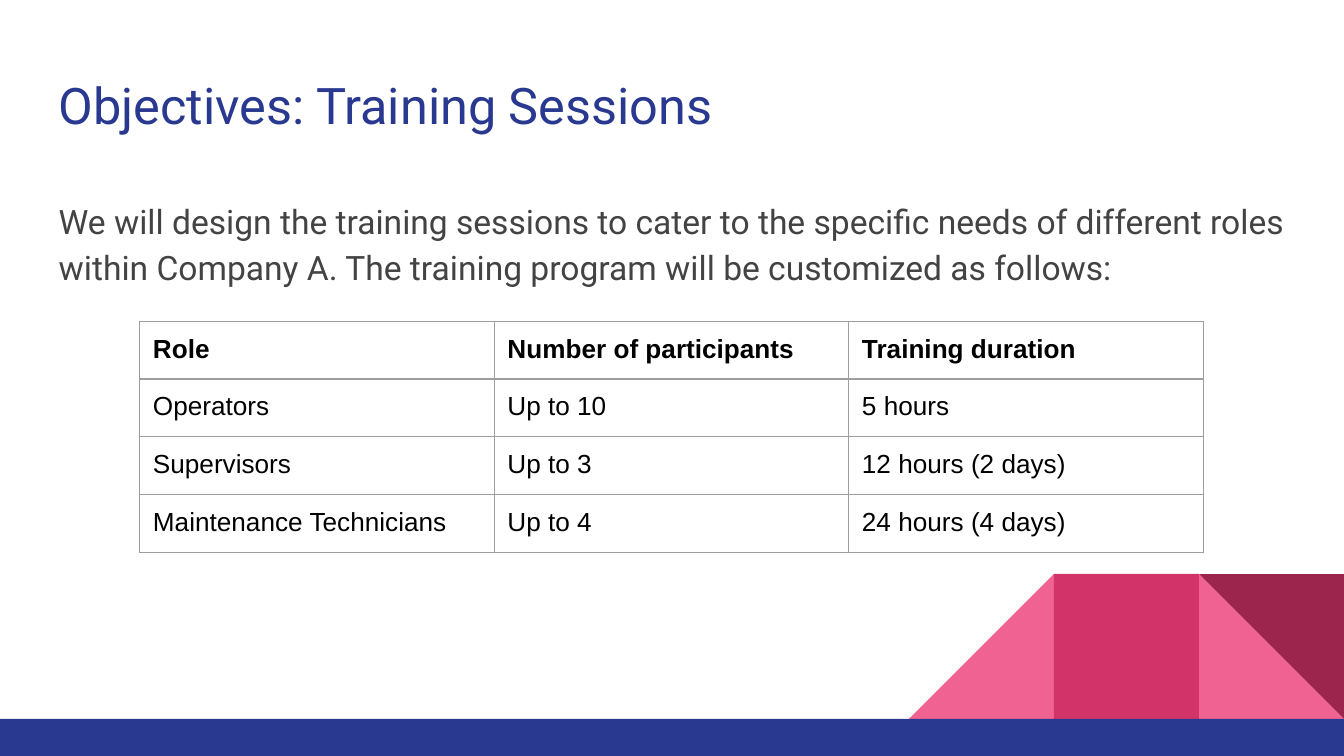
from lxml.etree import SubElement
from pptx import Presentation
from pptx.dml.color import RGBColor
from pptx.enum.shapes import MSO_SHAPE as Shape
from pptx.enum.text import MSO_ANCHOR as Anchor, PP_ALIGN as Align
from pptx.oxml.ns import qn
from pptx.util import Cm, Pt

BLUE = RGBColor(0x2A, 0x39, 0x90)
PINK = RGBColor(0xF0, 0x62, 0x92)
ROSE = RGBColor(0xD2, 0x33, 0x69)
WINE = RGBColor(0x9C, 0x25, 0x4D)
GRAY = RGBColor(0x43, 0x43, 0x43)
BORDER = RGBColor(0x9E, 0x9E, 0x9E)
BLACK = RGBColor(0, 0, 0)
WHITE = RGBColor(0xFF, 0xFF, 0xFF)

WIDTH, HEIGHT = 25.4, 14.29
BAR_HEIGHT = 0.7
TILE = 2.74
MARGIN = 0.86

ROWS = [
    ["Role", "Number of participants", "Training duration"],
    ["Operators", "Up to 10", "5 hours"],
    ["Supervisors", "Up to 3", "12 hours (2 days)"],
    ["Maintenance Technicians", "Up to 4", "24 hours (4 days)"],
]


class SlideBuilder:
    heading_font = "Roboto"
    table_font = "Arial"
    inset = Cm(0.25)

    def __init__(self, slide):
        self.slide = slide

    def format_text(self, frame, font_name, size, color, bold=False):
        for paragraph in frame.paragraphs:
            paragraph.alignment = Align.LEFT
            for run in paragraph.runs:
                font = run.font
                font.name, font.size, font.bold = font_name, Pt(size), bold
                font.color.rgb = color

    def fill_frame(self, frame, text, size, color, anchor):
        frame.text = text
        frame.word_wrap = True
        frame.vertical_anchor = anchor
        frame.margin_left = frame.margin_right = self.inset
        frame.margin_top = frame.margin_bottom = self.inset
        self.format_text(frame, self.heading_font, size, color)

    def title(self, text, left, top, width, height):
        title = self.slide.shapes.title
        title.left, title.top = Cm(left), Cm(top)
        title.width, title.height = Cm(width), Cm(height)
        self.fill_frame(title.text_frame, text, 27, BLUE, Anchor.MIDDLE)

    def body(self, text, left, top, width, height):
        box = self.slide.shapes.add_textbox(Cm(left), Cm(top), Cm(width), Cm(height))
        self.fill_frame(box.text_frame, text, 18, GRAY, Anchor.TOP)
        paragraph = box.text_frame.paragraphs[0]
        paragraph.line_spacing = 1.15
        paragraph.space_after = Pt(12)

    def block(self, kind, left, top, width, height, color, rotation=0):
        shape = self.slide.shapes.add_shape(kind, Cm(left), Cm(top), Cm(width), Cm(height))
        shape.shadow.inherit = False
        shape.fill.solid()
        shape.fill.fore_color.rgb = color
        shape.line.fill.background()
        shape.rotation = rotation

    def cell_borders(self, cell):
        properties = cell._tc.get_or_add_tcPr()
        for side in ("a:lnL", "a:lnR", "a:lnT", "a:lnB"):
            line = SubElement(properties, qn(side), w=str(Pt(0.75)))
            fill = SubElement(line, qn("a:solidFill"))
            SubElement(fill, qn("a:srgbClr"), val=str(BORDER))

    def table(self, rows, left, top, column_width, row_height):
        columns = len(rows[0])
        table = self.slide.shapes.add_table(
            len(rows), columns, Cm(left), Cm(top),
            Cm(column_width * columns), Cm(row_height * len(rows))).table
        table.horz_banding = False
        for column in table.columns:
            column.width = Cm(column_width)
        for row_index, texts in enumerate(rows):
            table.rows[row_index].height = Cm(row_height)
            for column_index, text in enumerate(texts):
                cell = table.cell(row_index, column_index)
                cell.text = text
                cell.margin_left = cell.margin_right = self.inset
                cell.margin_top = cell.margin_bottom = self.inset
                self.cell_borders(cell)
                cell.fill.solid()
                cell.fill.fore_color.rgb = WHITE
                self.format_text(cell.text_frame, self.table_font, 14, BLACK,
                                 bold=row_index == 0)


def main():
    presentation = Presentation()
    presentation.slide_width, presentation.slide_height = Cm(WIDTH), Cm(HEIGHT)
    title_only = presentation.slide_layouts[5]
    builder = SlideBuilder(presentation.slides.add_slide(title_only))

    bar_top = HEIGHT - BAR_HEIGHT
    tile_top = bar_top - TILE
    first, second, third = (WIDTH - TILE * count for count in (3, 2, 1))
    tiles = [
        (Shape.RIGHT_TRIANGLE, third, PINK, 0),
        (Shape.RIGHT_TRIANGLE, first, PINK, 270),
        (Shape.RECTANGLE, second, ROSE, 0),
        (Shape.RIGHT_TRIANGLE, third, WINE, 180),
    ]
    for kind, left, color, rotation in tiles:
        builder.block(kind, left, tile_top, TILE, TILE, color, rotation)
    builder.block(Shape.RECTANGLE, 0, bar_top, WIDTH, BAR_HEIGHT, BLUE)

    text_width = WIDTH - 2 * MARGIN
    builder.title("Objectives: Training Sessions", MARGIN, 1.14, text_width, 1.68)
    builder.body("We will design the training sessions to cater to the specific needs "
                 "of different roles within Company A. The training program will be "
                 "customized as follows:", MARGIN, 3.43, text_width, 2.67)
    builder.table(ROWS, left=2.64, top=6.07, column_width=6.7, row_height=1.06)
    presentation.save("out.pptx")


if __name__ == "__main__":
    main()
